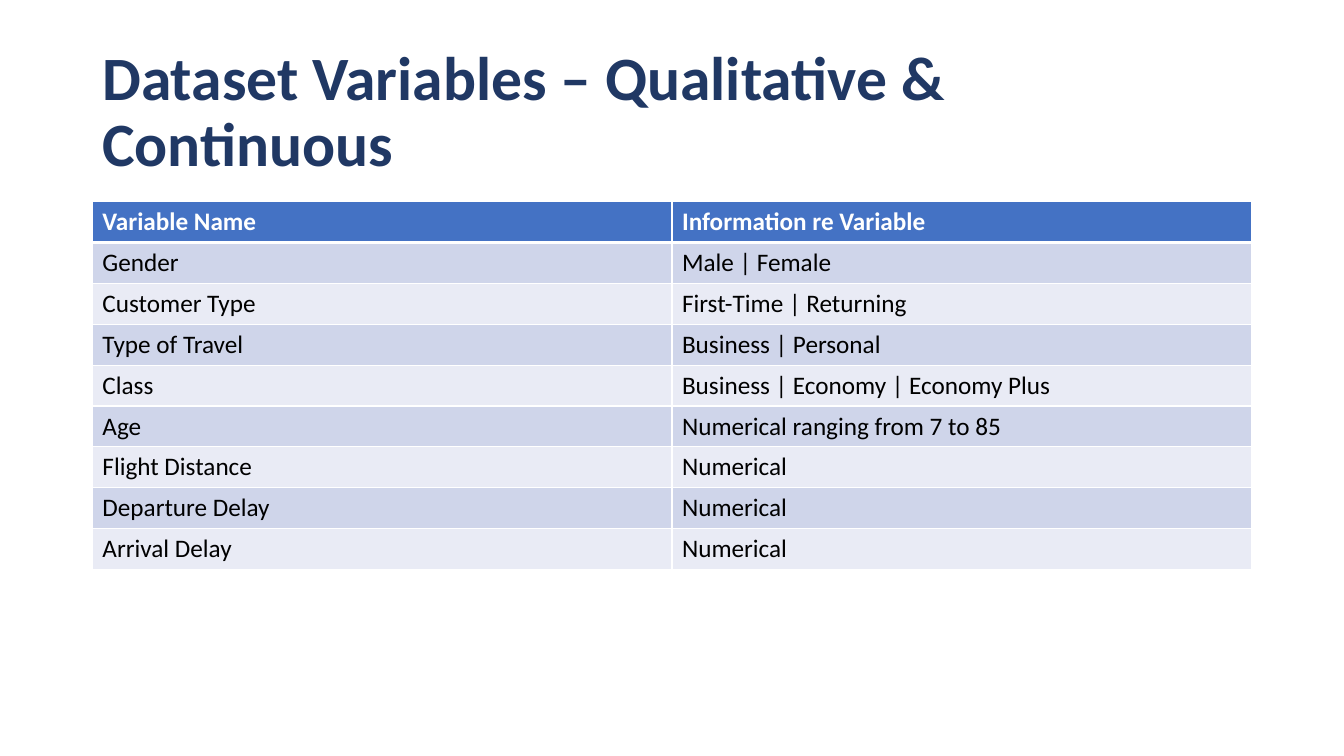
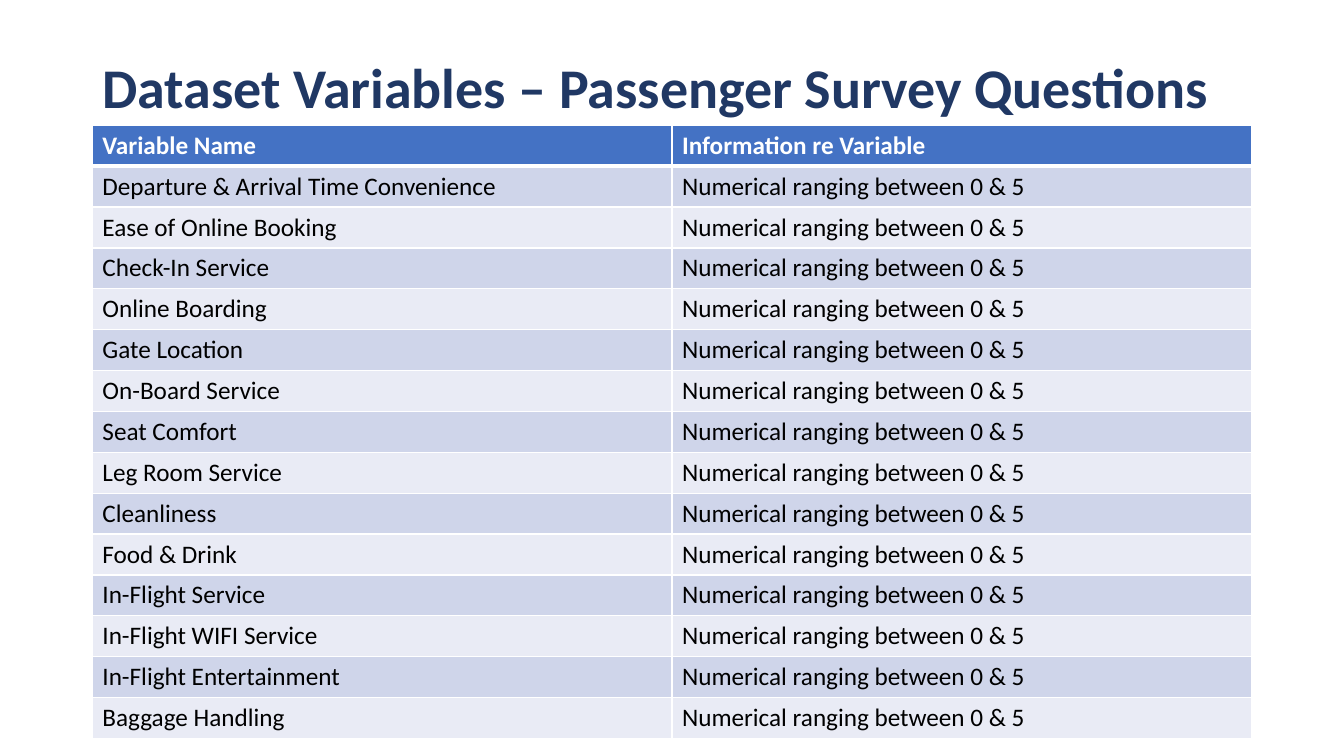
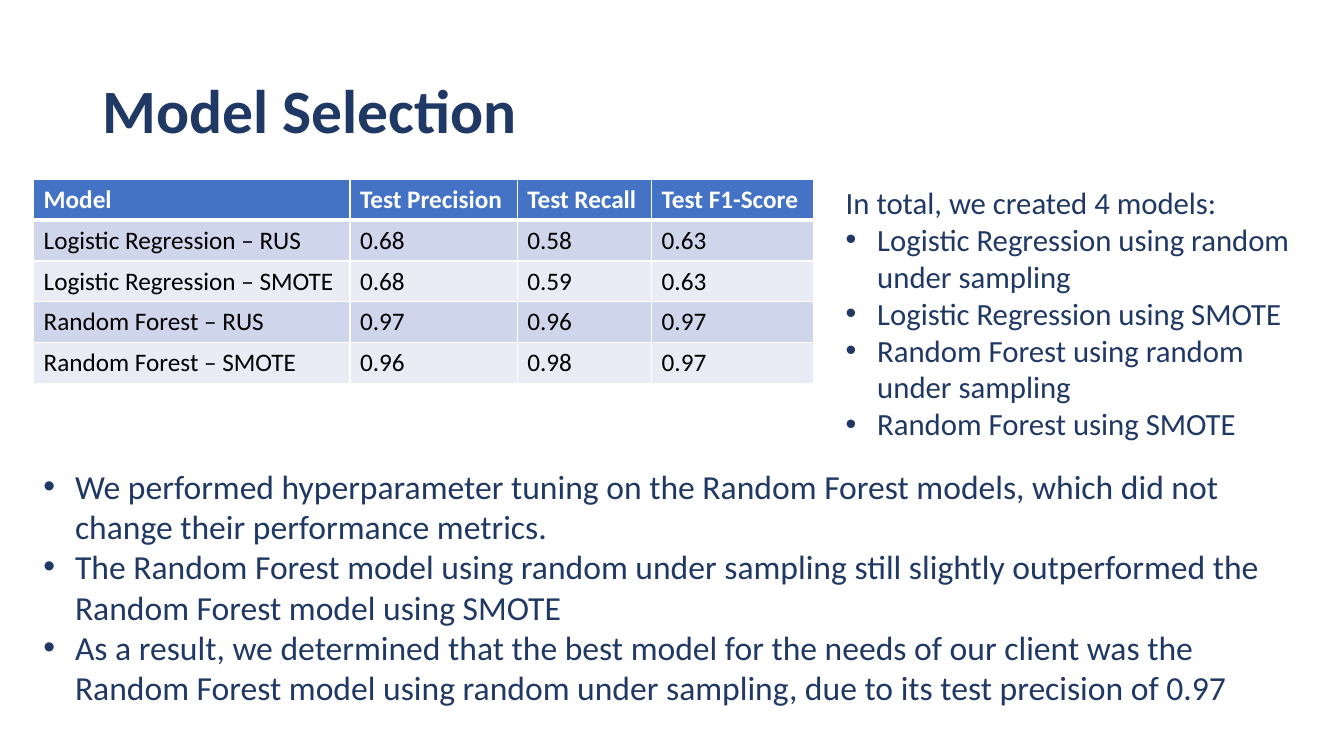
from lxml.etree import SubElement
from pptx import Presentation
from pptx.dml.color import RGBColor
from pptx.enum.text import MSO_ANCHOR
from pptx.oxml.ns import qn
from pptx.util import Pt

COLORS = {
    "navy": "203864",
    "header": "4472C4",
    "odd": "CFD5EA",
    "even": "E9EBF5",
    "white": "FFFFFF",
    "black": "000000",
}
FONT = "Calibri"
LEFT, CONTENT_WIDTH = 66, 828
ROW_HEIGHT = 29.2
BULLET_INDENT = 22.5


def color(key):
    return RGBColor.from_string(COLORS[key])


class Deck:
    def __init__(self):
        self.presentation = Presentation()
        self.presentation.slide_width = Pt(960)
        self.presentation.slide_height = Pt(540)
        self.slide = None

    def new_slide(self, heading, top=28.8, size=44):
        self.slide = self.presentation.slides.add_slide(self.presentation.slide_layouts[6])
        frame = self.text_frame(LEFT, top, CONTENT_WIDTH, 104.4)
        frame.vertical_anchor = MSO_ANCHOR.MIDDLE
        paragraph = frame.paragraphs[0]
        paragraph.line_spacing = 0.9
        self.set_text(paragraph, heading, size, "navy", bold=True)

    def text_frame(self, left, top, width, height):
        box = self.slide.shapes.add_textbox(Pt(left), Pt(top), Pt(width), Pt(height))
        box.text_frame.word_wrap = True
        return box.text_frame

    def set_text(self, paragraph, text, size, color_key, bold=False):
        paragraph.text = text
        font = paragraph.font
        font.name, font.size, font.bold = FONT, Pt(size), bold
        font.color.rgb = color(color_key)

    def bullets(self, left, top, width, height, size, items, intro=None):
        frame = self.text_frame(left, top, width, height)
        lines = ([intro] if intro else []) + items
        for index, line in enumerate(lines):
            paragraph = frame.add_paragraph() if index else frame.paragraphs[0]
            self.set_text(paragraph, line, size, "navy")
            if line != intro:
                self.add_bullet(paragraph)

    def add_bullet(self, paragraph):
        properties = paragraph._p.get_or_add_pPr()
        properties.set("marL", str(Pt(BULLET_INDENT)))
        properties.set("indent", str(-Pt(BULLET_INDENT)))
        bullet_font = properties.makeelement(qn("a:buFont"), {"typeface": "Arial"})
        bullet = properties.makeelement(qn("a:buChar"), {"char": "•"})
        properties.insert(0, bullet_font)
        properties.insert(1, bullet)

    def table(self, left, top, widths, rows):
        grid = self.slide.shapes.add_table(
            len(rows), len(widths), Pt(left), Pt(top),
            Pt(sum(widths)), Pt(ROW_HEIGHT * len(rows)),
        ).table
        for column, width in zip(grid.columns, widths):
            column.width = Pt(width)
        for row_index, values in enumerate(rows):
            grid.rows[row_index].height = Pt(ROW_HEIGHT)
            for column_index, value in enumerate(values):
                self.fill_cell(grid.cell(row_index, column_index), value, row_index)

    def fill_cell(self, cell, value, row_index):
        is_header = row_index == 0
        self.set_text(cell.text_frame.paragraphs[0], value, 18,
                      "white" if is_header else "black", bold=is_header)
        self.add_borders(cell, top=3 if row_index == 1 else 1, bottom=3 if is_header else 1)
        cell.fill.solid()
        cell.fill.fore_color.rgb = color(
            "header" if is_header else "odd" if row_index % 2 else "even")

    def add_borders(self, cell, top, bottom):
        properties = cell._tc.get_or_add_tcPr()
        for side, weight in (("L", 1), ("R", 1), ("T", top), ("B", bottom)):
            border = SubElement(properties, qn(f"a:ln{side}"), w=str(Pt(weight)))
            paint = SubElement(border, qn("a:solidFill"))
            SubElement(paint, qn("a:srgbClr"), val=COLORS["white"])


def main():
    deck = Deck()
    variable_header = ("Variable Name", "Information re Variable")
    halves = [CONTENT_WIDTH / 2] * 2

    deck.new_slide("Dataset Variables – Qualitative & Continuous")
    deck.table(LEFT, 144, halves, [
        variable_header,
        ("Gender", "Male | Female"),
        ("Customer Type", "First-Time | Returning"),
        ("Type of Travel", "Business | Personal"),
        ("Class", "Business | Economy | Economy Plus"),
        ("Age", "Numerical ranging from 7 to 85"),
        ("Flight Distance", "Numerical"),
        ("Departure Delay", "Numerical"),
        ("Arrival Delay", "Numerical"),
    ])

    deck.new_slide("Dataset Variables – Passenger Survey Questions", top=12.2, size=40)
    survey_questions = [
        "Departure & Arrival Time Convenience",
        "Ease of Online Booking",
        "Check-In Service",
        "Online Boarding",
        "Gate Location",
        "On-Board Service",
        "Seat Comfort",
        "Leg Room Service",
        "Cleanliness",
        "Food & Drink",
        "In-Flight Service",
        "In-Flight WIFI Service",
        "In-Flight Entertainment",
        "Baggage Handling",
    ]
    deck.table(LEFT, 89.5, halves, [variable_header] + [
        (question, "Numerical ranging between 0 & 5") for question in survey_questions
    ])

    deck.new_slide("Model Selection")
    deck.table(24, 128, [226, 119.5, 96, 116], [
        ("Model", "Test Precision", "Test Recall", "Test F1-Score"),
        ("Logistic Regression – RUS", "0.68", "0.58", "0.63"),
        ("Logistic Regression – SMOTE", "0.68", "0.59", "0.63"),
        ("Random Forest – RUS", "0.97", "0.96", "0.97"),
        ("Random Forest – SMOTE", "0.96", "0.98", "0.97"),
    ])
    deck.bullets(597, 127.5, 339, 193.7, 22, [
        "Logistic Regression using random under sampling",
        "Logistic Regression using SMOTE",
        "Random Forest using random under sampling",
        "Random Forest using SMOTE",
    ], intro="In total, we created 4 models:")
    deck.bullets(24, 329, 897, 211, 24, [
        "We performed hyperparameter tuning on the Random Forest models, "
        "which did not change their performance metrics.",
        "The Random Forest model using random under sampling still slightly "
        "outperformed the Random Forest model using SMOTE",
        "As a result, we determined that the best model for the needs of our client was "
        "the Random Forest model using random under sampling, "
        "due to its test precision of 0.97",
    ])

    deck.presentation.save("out.pptx")


if __name__ == "__main__":
    main()
